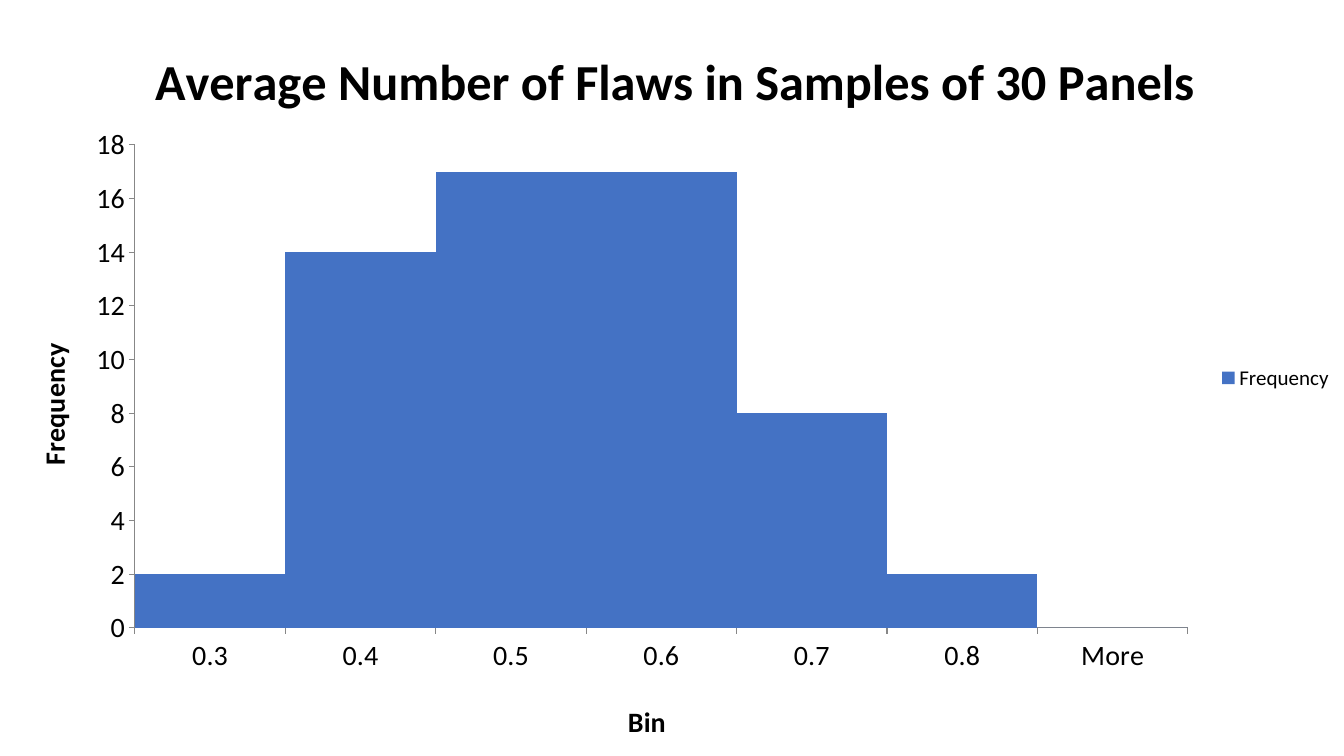
from dataclasses import dataclass
from typing import Any

from lxml import etree
from pptx import Presentation
from pptx import util as u
from pptx.chart.data import CategoryChartData
from pptx.dml.color import RGBColor
from pptx.enum import chart as ch
from pptx.oxml import ns

WIDTH, HEIGHT = 1344, 756
EMU_PER_PX = 914400 / 100.8
COLORS = {"ink": "000000", "bars": "4472C4", "axis": "878787", "paper": "FFFFFF"}
FONT = "Calibri"


@dataclass
class Heading:
    owner: Any
    words: str
    size: int
    left: int
    top: int


@dataclass
class Scale:
    axis: Any
    settings: dict[str, Any]


def px(length: int) -> u.Emu:
    return u.Emu(round(length * EMU_PER_PX))


def color(name: str) -> RGBColor:
    return RGBColor.from_string(COLORS[name])


def apply(target: Any, settings: dict[str, Any]) -> None:
    for key, value in settings.items():
        setattr(target, key, value)


def style_font(font: Any, size: int, bold: bool = False) -> None:
    apply(font, {"name": FONT, "size": u.Pt(size), "bold": bold})
    font.color.rgb = color("ink")


def place(parent: Any, index: int, settings: dict[str, Any]) -> None:
    """Give a chart part a manual layout."""
    for old in parent.findall(ns.qn("c:layout")):
        parent.remove(old)
    layout = etree.Element(ns.qn("c:layout"))
    manual = etree.SubElement(layout, ns.qn("c:manualLayout"))
    for key, value in settings.items():
        etree.SubElement(manual, ns.qn(f"c:{key}")).set("val", str(value))
    parent.insert(index, layout)


def edge(left: int, top: int) -> dict[str, Any]:
    return {"xMode": "edge", "yMode": "edge",
            "x": round(left / WIDTH, 4), "y": round(top / HEIGHT, 4)}


def draw_heading(heading: Heading) -> None:
    heading.owner.has_title = True
    title = heading.owner.chart_title if hasattr(heading.owner, "chart_title") else heading.owner.axis_title
    run = title.text_frame.paragraphs[0].add_run()
    run.text = heading.words
    style_font(run.font, heading.size, bold=True)
    place(title._element, 1, edge(heading.left, heading.top))


def draw_scale(scale: Scale) -> None:
    apply(scale.axis, {"has_major_gridlines": False,
                       "major_tick_mark": ch.XL_TICK_MARK.OUTSIDE,
                       "minor_tick_mark": ch.XL_TICK_MARK.NONE, **scale.settings})
    style_font(scale.axis.tick_labels.font, 20)
    scale.axis.format.line.color.rgb = color("axis")
    scale.axis.format.line.width = u.Pt(0.75)


# Slide
deck = Presentation()
apply(deck, {"slide_width": px(WIDTH), "slide_height": px(HEIGHT)})
slide = deck.slides.add_slide(deck.slide_layouts[6])
slide.background.fill.solid()
slide.background.fill.fore_color.rgb = color("paper")

# Histogram
flaws = CategoryChartData()
flaws.categories = ["0.3", "0.4", "0.5", "0.6", "0.7", "0.8", "More"]
flaws.add_series("Frequency", [2, 14, 17, 17, 8, 2, 0])
histogram = slide.shapes.add_chart(
    ch.XL_CHART_TYPE.COLUMN_CLUSTERED, 0, 0, px(WIDTH), px(HEIGHT), flaws).chart
style_font(histogram.font, 10)
bars = histogram.plots[0]
apply(bars, {"gap_width": 0, "vary_by_categories": False})
bars.series[0].format.fill.solid()
bars.series[0].format.fill.fore_color.rgb = color("bars")
place(histogram._chartSpace.chart.plotArea, 0,
      {"layoutTarget": "inner", **edge(135, 145),
       "w": round(1053 / WIDTH, 4), "h": round(483 / HEIGHT, 4)})

# Axes
for scale in (
    Scale(histogram.category_axis, {}),
    Scale(histogram.value_axis, {"minimum_scale": 0, "maximum_scale": 18, "major_unit": 2}),
):
    draw_scale(scale)

# Titles
for heading in (
    Heading(histogram, "Average Number of Flaws in Samples of 30 Panels", 36, 146, 37),
    Heading(histogram.category_axis, "Bin", 20, 623, 697),
    Heading(histogram.value_axis, "Frequency", 20, 29, 338),
):
    draw_heading(heading)

# Legend
histogram.has_legend = True
apply(histogram.legend, {"position": ch.XL_LEGEND_POSITION.RIGHT, "include_in_layout": False})
style_font(histogram.legend.font, 15)

deck.save("out.pptx")
